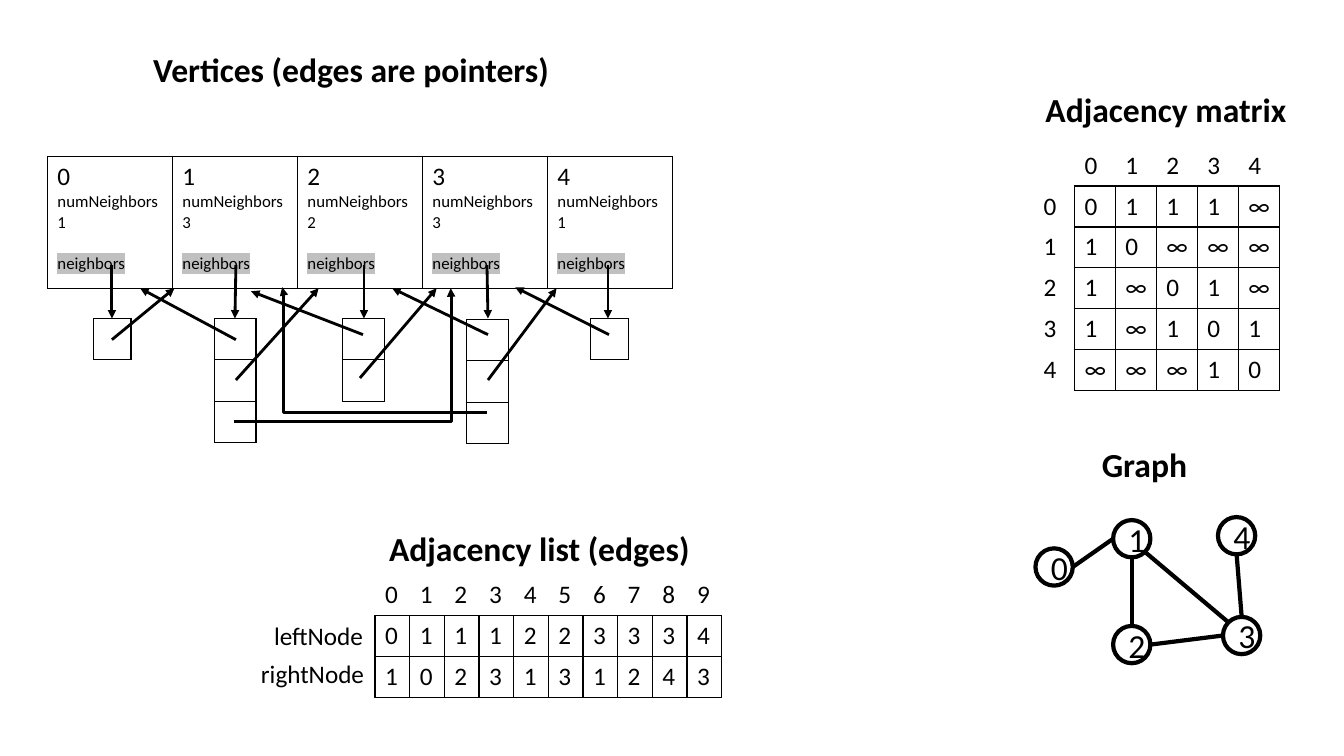
from lxml import etree
from pptx import Presentation
from pptx.dml.color import RGBColor
from pptx.enum.shapes import MSO_CONNECTOR, MSO_SHAPE
from pptx.enum.text import MSO_ANCHOR, MSO_AUTO_SIZE, PP_ALIGN
from pptx.oxml.ns import qn
from pptx.util import Inches, Pt

STRAIGHT, ELBOW = MSO_CONNECTOR.STRAIGHT, MSO_CONNECTOR.ELBOW
OVAL = MSO_SHAPE.OVAL
MIDDLE, CENTER = MSO_ANCHOR.MIDDLE, PP_ALIGN.CENTER
FIT_TEXT = MSO_AUTO_SIZE.SHAPE_TO_FIT_TEXT

COLORS = {"ink": "000000", "paper": "FFFFFF", "mark": "C0C0C0"}
FONT = "Calibri"
PLAIN_TABLE = "{2D5ABB26-0587-4C30-8999-92F81FD0307C}"

NEIGHBORS = [[1], [0, 2, 3], [1, 3], [1, 2, 4], [3]]
MATRIX = ["0111∞", "10∞∞∞", "1∞01∞", "1∞101", "∞∞∞10"]

# Left, top and width of each vertex's neighbor array
ARRAYS = [(0.93, 3.16, 0.37), (2.13, 3.16, 0.41), (3.4, 3.16, 0.41),
          (4.63, 3.17, 0.41), (5.86, 3.16, 0.37)]
ARRAY_ROW = 0.41
ARRAY_ARROWS = [((1.11, 2.63), (1.11, 3.16)), ((2.34, 2.63), (2.33, 3.16)),
                ((3.61, 2.63), (3.61, 3.16)), ((4.83, 2.63), (4.84, 3.16)),
                ((6.03, 2.63), (6.03, 3.16))]
NEIGHBOR_ARROWS = [((1.11, 3.37), (1.73, 2.86)), ((2.34, 3.37), (1.39, 2.86)),
                   ((2.34, 3.77), (3.16, 2.86)), ((3.6, 3.32), (2.49, 2.89)),
                   ((3.57, 3.75), (4.33, 2.86)), ((4.84, 3.32), (3.89, 2.86)),
                   ((4.84, 3.77), (5.52, 2.86)), ((6.04, 3.32), (5.11, 2.85))]

NODE = 0.37
NODES = [(10.27, 5.44), (11.04, 5.16), (11.04, 6.21), (12.13, 6.12), (12.08, 5.13)]
# Each end is a node and the direction from its centre to its rim
DIAGONAL = 0.71
EDGES = [((0, 1, 0), (1, -1, 0)),
         ((2, 0, -1), (1, 0, 1)),
         ((3, -DIAGONAL, -DIAGONAL), (1, DIAGONAL, DIAGONAL)),
         ((3, 0, -1), (4, 0, 1)),
         ((3, -1, 0), (2, 1, 0))]

HEADINGS = [("Adjacency list (edges)", 3.76, 5.19, 3.22),
            ("Adjacency matrix", 10.27, 0.83, 2.61),
            ("Vertices (edges are pointers)", 1.42, 0.44, 4.18),
            ("Graph", 10.83, 4.35, 1.06)]
ROW_LABELS = [("leftNode", 2.62, 6.11, 1.1), ("rightNode", 2.49, 6.48, 1.24)]


def rgb(name):
    return RGBColor.from_string(COLORS[name])


def rim_point(node, dx, dy):
    left, top = NODES[node]
    radius = NODE / 2
    return left + radius * (1 + dx), top + radius * (1 + dy)


class Diagram:
    def __init__(self, slide):
        self.s = slide

    def style(self, p, size, bold=False):
        for r in p.runs:
            r.font.name, r.font.size, r.font.bold = FONT, Pt(size), bold
            r.font.color.rgb = rgb("ink")

    def label(self, text, x, y, w, h, size, bold=False):
        tf = self.s.shapes.add_textbox(Inches(x), Inches(y), Inches(w), Inches(h)).text_frame
        tf.word_wrap = False
        tf.auto_size = FIT_TEXT
        tf.text = text
        self.style(tf.paragraphs[0], size, bold)

    def node(self, text, x, y):
        sp = self.s.shapes.add_shape(OVAL, Inches(x), Inches(y), Inches(NODE), Inches(NODE))
        sp.shadow.inherit = False
        sp.fill.background()
        sp.line.color.rgb = rgb("ink")
        sp.line.width = Pt(3)
        tf = sp.text_frame
        tf.vertical_anchor = MIDDLE
        tf.text = text
        tf.paragraphs[0].alignment = CENTER
        self.style(tf.paragraphs[0], 24)

    def line(self, begin, end, width, kind=STRAIGHT, arrow=False, bend=None):
        """Draw a connector; bend is the elbow's place as a share of its width."""
        ends = [Inches(v) for v in (*begin, *end)]
        cxn = self.s.shapes.add_connector(kind, *ends)
        cxn.line.color.rgb = rgb("ink")
        cxn.line.width = Pt(width)
        sppr = cxn._element.spPr
        etree.SubElement(sppr, qn("a:effectLst"))
        if arrow:
            etree.SubElement(sppr.find(qn("a:ln")), qn("a:tailEnd"), type="triangle")
        if bend is not None:
            geom = sppr.find(qn("a:prstGeom"))
            guides = geom.find(qn("a:avLst"))
            if guides is None:
                guides = etree.SubElement(geom, qn("a:avLst"))
            etree.SubElement(guides, qn("a:gd"), name="adj1", fmla=f"val {round(bend * 100000)}")

    def border(self, cell):
        tcpr = cell._tc.get_or_add_tcPr()
        for side in ("lnL", "lnR", "lnT", "lnB"):
            ln = etree.SubElement(tcpr, qn("a:" + side), w=str(Pt(1)))
            fill = etree.SubElement(ln, qn("a:solidFill"))
            etree.SubElement(fill, qn("a:srgbClr"), val=COLORS["ink"])

    def table(self, rows, x, y, w, h, head_rows=0, head_cols=0):
        """Draw a grid of texts whose heading cells have no border."""
        frame = self.s.shapes.add_table(len(rows), len(rows[0]), Inches(x), Inches(y),
                                        Inches(w), Inches(h))
        table = frame.table
        table.first_row = table.horz_banding = False
        table._tbl.tblPr.find(qn("a:tableStyleId")).text = PLAIN_TABLE
        for i, row in enumerate(rows):
            for j, text in enumerate(row):
                cell = table.cell(i, j)
                if i >= head_rows and j >= head_cols:
                    self.border(cell)
                cell.fill.background()
                if text:
                    cell.text_frame.text = text
                    for p in cell.text_frame.paragraphs:
                        self.style(p, 18)
        return table

    def vertices(self, x, y, w, h):
        texts = [f"{v}\nnumNeighbors\n{len(near)}\nneighbors" for v, near in enumerate(NEIGHBORS)]
        table = self.table([texts], x, y, w, h)
        for cell in table.iter_cells():
            cell.fill.solid()
            cell.fill.fore_color.rgb = rgb("paper")
            paragraphs = cell.text_frame.paragraphs
            for p in paragraphs[1:]:
                self.style(p, 12)
            paragraphs[-1].space_before = Pt(14.6)
            self.highlight(paragraphs[-1].runs[0])

    def highlight(self, r):
        mark = etree.Element(qn("a:highlight"))
        etree.SubElement(mark, qn("a:srgbClr"), val=COLORS["mark"])
        r.font._element.find(qn("a:solidFill")).addnext(mark)


def main():
    prs = Presentation()
    prs.slide_width, prs.slide_height = Inches(13.33), Inches(7.5)
    d = Diagram(prs.slides.add_slide(prs.slide_layouts[6]))

    d.line((2.32, 4.18), (4.47, 2.86), 2, ELBOW, arrow=True, bend=1.002)
    for v, (x, y) in enumerate(NODES):
        d.node(str(v), x, y)
    for begin, end in EDGES:
        d.line(rim_point(*begin), rim_point(*end), 3)

    matrix = [["", *"01234"]] + [[str(v), *row] for v, row in enumerate(MATRIX)]
    d.table(matrix, 10.25, 1.44, 2.44, 2.43, head_rows=1, head_cols=1)

    pairs = [(str(v), str(n)) for v, near in enumerate(NEIGHBORS) for n in near]
    left_nodes, right_nodes = zip(*pairs)
    indexes = [str(i) for i in range(len(pairs))]
    d.table([indexes, left_nodes, right_nodes], 3.72, 5.7, 3.44, 1.22, head_rows=1)

    d.vertices(0.47, 1.55, 6.2, 1.31)
    for near, (x, y, w) in zip(NEIGHBORS, ARRAYS):
        d.table([[""] for _ in near], x, y, w, ARRAY_ROW * len(near))
    for begin, end in ARRAY_ARROWS + NEIGHBOR_ARROWS:
        d.line(begin, end, 2, arrow=True)
    d.line((4.83, 4.09), (2.8, 2.85), 2, ELBOW, arrow=True, bend=0.993)

    for text, x, y, w in ROW_LABELS:
        d.label(text, x, y, w, 0.4, 18)
    for text, x, y, w in HEADINGS:
        d.label(text, x, y, w, 0.5, 24, bold=True)
    prs.save("out.pptx")


if __name__ == "__main__":
    main()
